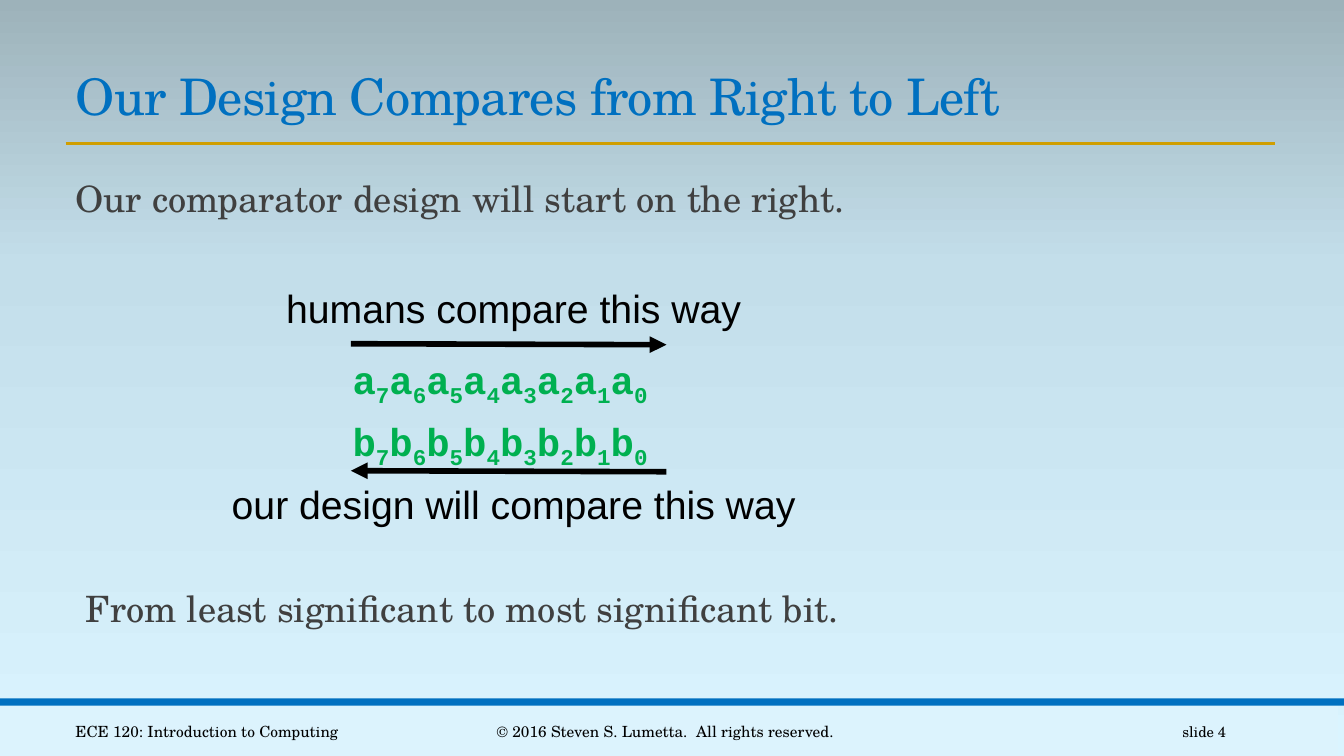
from copy import deepcopy

from lxml import etree
from pptx import Presentation
from pptx.dml import color
from pptx.enum import shapes, text
from pptx.oxml import ns
from pptx.util import Inches, Pt

# Content
TITLE = "Our Design Compares from Right to Left"
OPENING = "Our comparator design will start on the right."
CLOSING = "From least significant to most significant bit."
OPERANDS = ("a", "b")
BITS = range(7, -1, -1)

# Formats
WIDTH, HEIGHT, MARGIN = 13.33, 7.5, 0.65
BAR_TOP, FOOTER_TOP = 6.93, 7.06
SCHOOL = "TeX Gyre Schola"
LEFT, CENTER, RIGHT = (text.PP_ALIGN.LEFT, text.PP_ALIGN.CENTER,
                       text.PP_ALIGN.RIGHT)
SKY = ((0, "DAF4FF"), (0.65, "C3DEEA"), (1, "9DB2BA"))
HEADING = dict(name=SCHOOL, size=36, color="0070C0")
PROSE = dict(name=SCHOOL, size=25.9, color="404040")
DIGITS = dict(name="Courier New", size=27.8, color="00B050", bold=True)
LABEL = dict(name="Arial", size=28, color="000000")
SMALL = dict(name=SCHOOL, size=11, color="000000")

# Footer: wording, left, width, alignment, size
FOOTERS = (
    ("ECE 120: Introduction to Computing", MARGIN, 3.25, LEFT, 11),
    ("© 2016 Steven S. Lumetta.  All rights reserved.", 4.03, 5.14, CENTER, 11),
    ("slide 4", 10.83, 1.43, RIGHT, 10.5),
)
# Directions: wording, label left, top and width, arrow height, arrow end
DIRECTIONS = (
    ("humans compare this way", 2.74, 2.77, 4.77, 3.41, "tailEnd"),
    ("our design will compare this way", 2.2, 4.72, 5.87, 4.67, "headEnd"),
)
ARROW_LEFT, ARROW_RIGHT = 3.48, 6.61


def rgb(value):
    return color.RGBColor.from_string(value)


def write(paragraph, words, look):
    run = paragraph.add_run()
    run.text = words
    for key, value in look.items():
        if key == "color":
            run.font.color.rgb = rgb(value)
        else:
            setattr(run.font, key, Pt(value) if key == "size" else value)
    return run._r.get_or_add_rPr()


def add_text(left, top, width, height, **frame_format):
    box = slide.shapes.add_textbox(*map(Inches, (left, top, width, height)))
    for key, value in frame_format.items():
        setattr(box.text_frame, key, value)
    return box.text_frame


def add_band(left, top, width, height, fill):
    band = slide.shapes.add_shape(shapes.MSO_SHAPE.RECTANGLE,
                                  *map(Inches, (left, top, width, height)))
    band.shadow.inherit = False
    band.fill.solid()
    band.fill.fore_color.rgb = rgb(fill)
    band.line.fill.background()


def add_line(x1, y1, x2, y2, ink, weight, arrow=None):
    line = slide.shapes.add_connector(shapes.MSO_CONNECTOR.STRAIGHT,
                                      *map(Inches, (x1, y1, x2, y2)))
    line.line.color.rgb = rgb(ink)
    line.line.width = Pt(weight)
    if arrow:
        etree.SubElement(line.line._get_or_add_ln(), ns.qn("a:" + arrow),
                         type="triangle")
    etree.SubElement(line._element.spPr, ns.qn("a:effectLst"))


deck = Presentation()
deck.slide_width, deck.slide_height = Inches(WIDTH), Inches(HEIGHT)
slide = deck.slides.add_slide(deck.slide_layouts[5])

# Background gradient, light at the bottom
sky = slide.background.fill
sky.gradient()
sky.gradient_angle = 90
stop_list = slide.element.xpath(".//a:gsLst")[0]
stop_list.insert(1, deepcopy(stop_list[0]))
for stop, (position, tint) in zip(sky.gradient_stops, SKY):
    stop.position = position
    stop.color.rgb = rgb(tint)

# Bands and title rule
add_band(-0.06, 7, WIDTH, HEIGHT - 7, "DCF3FD")
add_band(0, BAR_TOP, WIDTH, 0.07, "0070C0")
add_line(MARGIN, 1.42, 12.65, 1.42, "D09E00", 2)

# Title
title = slide.shapes.title
title.left, title.top, title.width, title.height = map(
    Inches, (MARGIN, 0.59, 12.01, 0.71))
title.text_frame.vertical_anchor = text.MSO_ANCHOR.BOTTOM
heading = title.text_frame.paragraphs[0]
heading.alignment, heading.line_spacing = LEFT, 0.85
write(heading, TITLE, HEADING).set("spc", "-50")

# Footer
for words, left, width, alignment, size in FOOTERS:
    footer = add_text(left, FOOTER_TOP, width, 0.4, word_wrap=True,
                      vertical_anchor=text.MSO_ANCHOR.MIDDLE).paragraphs[0]
    footer.alignment = alignment
    write(footer, words, {**SMALL, "size": size})

# Body: opening, the two bit rows, closing
body = add_text(MARGIN, 1.78, 8.52, 4.64, word_wrap=True,
                margin_left=Inches(0.1), margin_right=0)
opening = body.paragraphs[0]
write(opening, OPENING, PROSE)
bit_rows = [body.add_paragraph() for _ in OPERANDS]
for row, operand in zip(bit_rows, OPERANDS):
    row.alignment = CENTER
    for bit in BITS:
        write(row, operand, DIGITS)
        write(row, str(bit), DIGITS).set("baseline", "-25000")
closing = body.add_paragraph()
closing._p.get_or_add_pPr().set("marL", str(Inches(0.1)))
write(closing, CLOSING, PROSE)
for paragraph, space in zip(body.paragraphs, (12, 98.6, 12, 90.6)):
    paragraph.line_spacing = 0.8
    paragraph.space_before, paragraph.space_after = Pt(space), Pt(2)

# Directions of comparison
for words, left, top, width, arrow_y, arrow_end in DIRECTIONS:
    label = add_text(left, top, width, 0.57, word_wrap=False)
    write(label.paragraphs[0], words, LABEL)
    add_line(ARROW_LEFT, arrow_y, ARROW_RIGHT, arrow_y + 0.01, "000000", 4,
             arrow_end)

deck.save("out.pptx")
